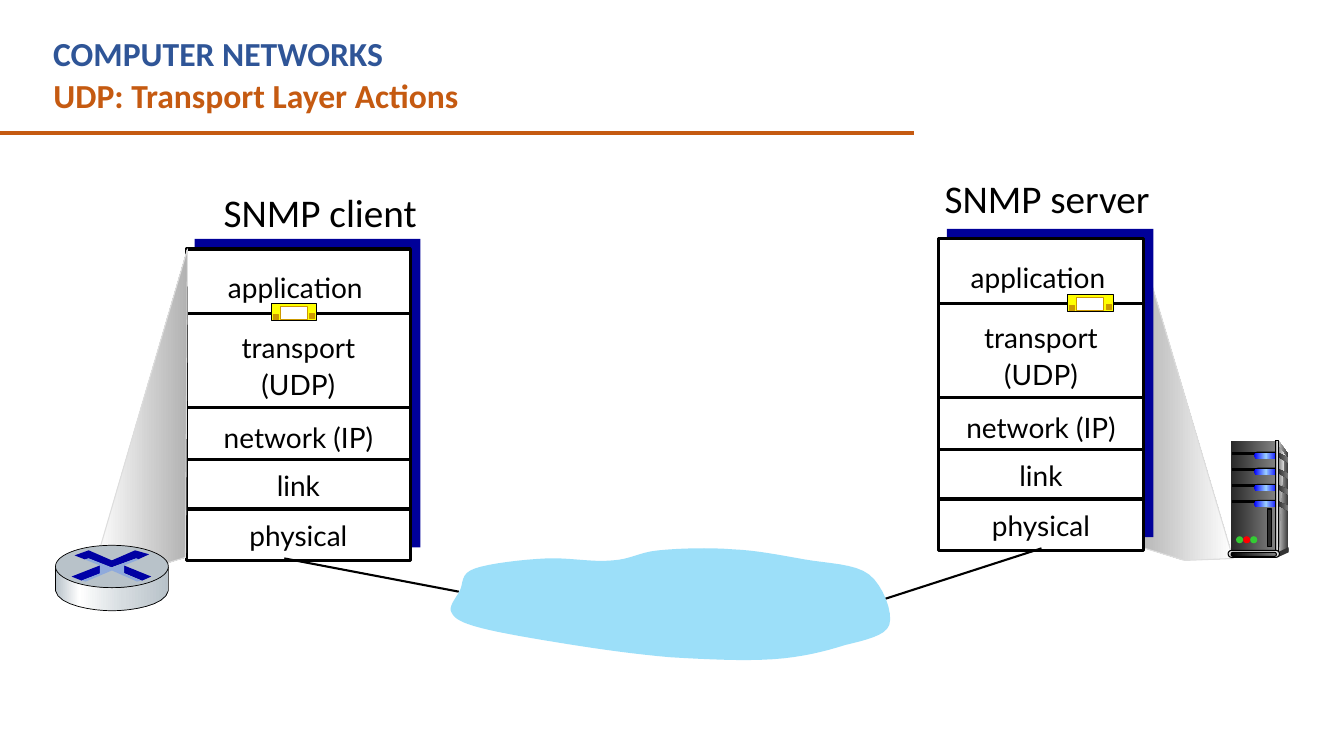
"""Build the slide on UDP transport layer actions between an SNMP client and server."""
from lxml.etree import SubElement
from pptx import Presentation
from pptx.dml.color import RGBColor
from pptx.enum.shapes import MSO_CONNECTOR as Connector, MSO_SHAPE as Shape
from pptx.enum.text import MSO_ANCHOR as Anchor, MSO_AUTO_SIZE as AutoSize, PP_ALIGN as Align
from pptx.oxml.ns import qn
from pptx.util import Inches, Pt


def paint(shape, fill=None, line=None, width=0.75):
    """Fill with a hex colour or (position, hex) stops, and outline with a hex colour."""
    if isinstance(fill, str):
        shape.fill.solid()
        shape.fill.fore_color.rgb = RGBColor.from_string(fill)
    elif fill:
        shape.fill.gradient()
        shape.fill.gradient_angle = 0
        stops = shape.element.spPr.find(".//" + qn("a:gsLst"))
        for stop in list(stops):
            stops.remove(stop)
        for position, color in fill:
            stop = SubElement(stops, qn("a:gs"), pos=str(position * 1000))
            SubElement(stop, qn("a:srgbClr"), val=color)
    if line:
        shape.line.color.rgb = RGBColor.from_string(line)
        shape.line.width = Pt(width)
    else:
        shape.line.fill.background()


def write(box, text, size=20, font="Lato", color="000000", bold=False,
          align=Align.CENTER, spacing=1.1, wrap=True):
    """Put formatted lines of text in a box."""
    frame = box.text_frame
    frame.text = text
    frame.word_wrap = wrap
    frame.auto_size = AutoSize.NONE
    frame.vertical_anchor = Anchor.TOP
    for para in frame.paragraphs:
        para.alignment = align
        para.line_spacing = spacing
        para.font.size = Pt(size)
        para.font.name = font
        para.font.bold = bold
        para.font.color.rgb = RGBColor.from_string(color)


deck = Presentation()
deck.slide_width, deck.slide_height = Inches(13.33), Inches(7.5)
page = deck.slides.add_slide(deck.slide_layouts[5])

BLACK, WHITE, NAVY, GOLD, ORANGE = "000000", "FFFFFF", "000099", "CC9900", "C55A11"
DARK = ((0, "292929"), (100, "808080"))
BLUE_GLOW = ((0, "0000FF"), (50, "99CCFF"), (100, "0000FF"))
RIM = ((0, "333333"), (50, "DDDDDD"), (100, "333333"))
STEEL = ((0, "B8C2C9"), (21, "FFFFFF"), (60, "D6DCE0"), (100, "B8C2C9"))
RECT, ROUND, OVAL = Shape.RECTANGLE, Shape.ROUNDED_RECTANGLE, Shape.OVAL

parts = [
    ("line", (-0.01, 1.32, 9.07, 1.32), None, ORANGE, 3),
    ("outline", [(12.23, 5.54), (11.29, 2.37), (11.26, 5.41), (11.75, 5.56)],
     ((0, "B2B2B2"), (100, WHITE)), "DDDDDD"),
    ("outline", [(12.68, 4.37), (12.78, 4.51), (12.78, 5.44), (12.66, 5.48)],
     ((0, "DDDDDD"), (100, "333333"))),
    (RECT, (12.21, 4.37, 0.44, 1.12), DARK),
    ("outline", [(12.68, 4.43), (12.68, 4.43, 12.7, 4.45, 12.75, 4.52),
                 (12.68, 4.93, 12.7, 5.47, 12.68, 5.45)],
     ((0, "808080"), (100, "F8F8F8"))),
]
for slot in range(4):
    top = 4.48 + 0.16 * slot
    parts += [
        (RECT, (12.22, top + 0.01, 0.25, 0.02), BLACK, BLACK),
        (ROUND, (12.44, top, 0.24, 0.07), BLACK),
        (ROUND, (12.44, top + 0.01, 0.23, 0.06), BLUE_GLOW),
        ("outline", [(12.67, top + 0.01), (12.78, top + 0.06), (12.78, top + 0.11),
                     (12.67, top + 0.05)], DARK),
    ]
parts += [
    (RECT, (12.65, 4.37, 0.03, 1.12), RIM, BLACK),
    (OVAL, (12.76, 5.43, 0.02, 0.05), "333333"),
    ("outline", [(12.67, 5.48), (12.67, 5.53), (12.78, 5.48), (12.78, 5.43)], "333333"),
    (ROUND, (12.18, 5.46, 0.51, 0.07), "DDDDDD", BLACK),
    (ROUND, (12.21, 5.48, 0.45, 0.04), ((0, BLACK), (100, "808080")), BLACK),
]
for light, color in enumerate(["33CC33", "FF0000", "33CC33"]):
    parts.append((OVAL, (12.26 + 0.07 * light, 5.32, 0.07, 0.07), color))
parts.append((RECT, (12.57, 5.05, 0.04, 0.37), "292929", BLACK))

client_beam_and_cloud = [
    ("line", (10.33, 5.44, 8.72, 5.96), None, BLACK, 1.5),
    ("line", (2.82, 5.54, 4.55, 5.87), None, BLACK, 1.5),
    ("outline", [
        (6.53, 5.46), (6.33, 5.48, 6.26, 5.55, 6.07, 5.56), (5.88, 5.58, 5.64, 5.53, 5.42, 5.54),
        (5.19, 5.55, 4.85, 5.59, 4.71, 5.64), (4.56, 5.69, 4.6, 5.79, 4.56, 5.86),
        (4.52, 5.94, 4.44, 6.02, 4.48, 6.08), (4.51, 6.14, 4.58, 6.18, 4.77, 6.23),
        (4.96, 6.28, 5.32, 6.34, 5.63, 6.39), (5.94, 6.44, 6.3, 6.49, 6.64, 6.52),
        (6.98, 6.54, 7.37, 6.56, 7.67, 6.54), (7.96, 6.52, 8.19, 6.46, 8.38, 6.4),
        (8.58, 6.35, 8.78, 6.31, 8.82, 6.2), (8.86, 6.08, 8.76, 5.81, 8.62, 5.7),
        (8.48, 5.59, 8.2, 5.59, 7.98, 5.55), (7.75, 5.51, 7.51, 5.46, 7.27, 5.45),
        (7.03, 5.43, 6.73, 5.44, 6.53, 5.46)], "9CDFF9"),
    ("outline", [(0.93, 5.65), (1.86, 2.47), (1.84, 5.53), (1.41, 5.66)],
     ((0, WHITE), (100, "B2B2B2")), "DDDDDD"),
]
stacks = [(9.31, 2.37, 2.03, []), (1.85, 2.47, 2.22, client_beam_and_cloud)]
for left, top, width, links in stacks:
    parts += [(RECT, (left + 0.08, top - 0.1, width + 0.02, 3.06), NAVY),
              (RECT, (left, top, width, 3.09), WHITE, BLACK, 2.25)]
    for drop in (0.64, 1.57, 2.09, 2.58):
        parts.append(("line", (left + 0.01, top + drop, left + width, top + drop),
                      None, BLACK, 2.25))
    parts += links

parts += [
    ("outline", [(1.67, 5.63), (1.67, 5.86), (1.64, 6.01, 1.3, 6.06, 1.11, 6.06),
                 (0.93, 6.06, 0.58, 6.01, 0.55, 5.86), (0.55, 5.63),
                 (0.6, 5.76, 0.92, 5.83, 1.11, 5.83), (1.29, 5.83, 1.62, 5.78, 1.67, 5.63)],
     STEEL, BLACK, 0.5),
    (OVAL, (0.55, 5.41, 1.12, 0.42), "B8C2C9", BLACK, 0.5),
    ("outline", [(1.34, 5.46), (1.48, 5.5), (1.37, 5.55), (1.35, 5.54), (1.1, 5.63), (0.88, 5.54),
                 (0.84, 5.55), (0.74, 5.51), (0.88, 5.46), (1.11, 5.56)], "0000A3"),
    ("outline", [(1.23, 5.61), (1.5, 5.72), (1.41, 5.76), (1.22, 5.68)], "0000A3"),
    ("outline", [(0.99, 5.61), (0.99, 5.69), (0.81, 5.76), (0.71, 5.72)], "0000A8"),
    ("outline", [(0.84, 5.55), (0.88, 5.54), (1.11, 5.63), (1.35, 5.54), (1.38, 5.55),
                 (1.23, 5.61), (1.23, 5.69), (1.4, 5.76), (1.36, 5.77), (1.11, 5.66),
                 (0.85, 5.77), (0.81, 5.76), (0.99, 5.69), (0.99, 5.61)], "8FAADC"),
]
for left, top in [(2.69, 3.01), (10.59, 2.92)]:
    parts += [(RECT, (left, top, 0.45, 0.17), "FFFF00", BLACK),
              (RECT, (left + 0.09, top + 0.03, 0.27, 0.13), WHITE, GOLD),
              (RECT, (left + 0.38, top + 0.1, 0.05, 0.05), GOLD, GOLD),
              (RECT, (left + 0.02, top + 0.11, 0.05, 0.05), GOLD, GOLD)]

for kind, geometry, *style in parts:
    if kind == "line":
        shape = page.shapes.add_connector(Connector.STRAIGHT, *map(Inches, geometry))
        SubElement(shape.element.spPr, qn("a:effectLst"))
    elif kind == "outline":
        points = [geometry[0]]
        for node in geometry[1:]:
            if len(node) == 2:
                points.append(node)
                continue
            x0, y0 = points[-1]
            x1, y1, x2, y2, x3, y3 = node
            for step in range(1, 9):
                t = step / 8
                a, b, c, d = (1 - t) ** 3, 3 * t * (1 - t) ** 2, 3 * t * t * (1 - t), t ** 3
                points.append((a * x0 + b * x1 + c * x2 + d * x3,
                               a * y0 + b * y1 + c * y2 + d * y3))
        corners = [(Inches(x), Inches(y)) for x, y in points]
        builder = page.shapes.build_freeform(*corners[0])
        builder.add_line_segments(corners[1:], close=True)
        shape = builder.convert_to_shape()
        shape.shadow.inherit = False
    else:
        shape = page.shapes.add_shape(kind, *map(Inches, geometry))
        shape.shadow.inherit = False
        if kind == ROUND:
            shape.adjustments[0] = 0.5
    paint(shape, *style)

layers = [("application", -0.03, 0.13, 0.44), ("transport\n(UDP)", 0, 0.73, 0.81),
          ("network (IP)", 0, 1.62, 0.44), ("link", 0, 2.1, 0.48), ("physical", 0, 2.59, 0.48)]
for left, top, width, links in stacks:
    for name, shift, drop, height in layers:
        box = page.shapes.add_textbox(Inches(left + 0.11 + shift), Inches(top + drop),
                                      Inches(width - 0.22), Inches(height))
        write(box, name)

for name, left, top, width in [("SNMP server", 9.27, 1.68, 2.26), ("SNMP client", 2.12, 1.82, 2.14)]:
    box = page.shapes.add_textbox(Inches(left), Inches(top), Inches(width), Inches(0.57))
    write(box, name, size=28, font="Calibri", align=Align.LEFT, spacing=1.0, wrap=False)

heading = {"size": 24, "font": "Calibri", "bold": True, "align": Align.LEFT, "spacing": 1.0}
course = page.shapes.add_textbox(Inches(0.43), Inches(0.28), Inches(8.2), Inches(0.5))
write(course, "COMPUTER NETWORKS", color="2F5597", **heading)
title = page.shapes.title
title.left, title.top, title.width, title.height = map(Inches, (0.43, 0.69, 8.75, 0.5))
write(title, "UDP: Transport Layer Actions", color=ORANGE, **heading)

deck.save("out.pptx")
